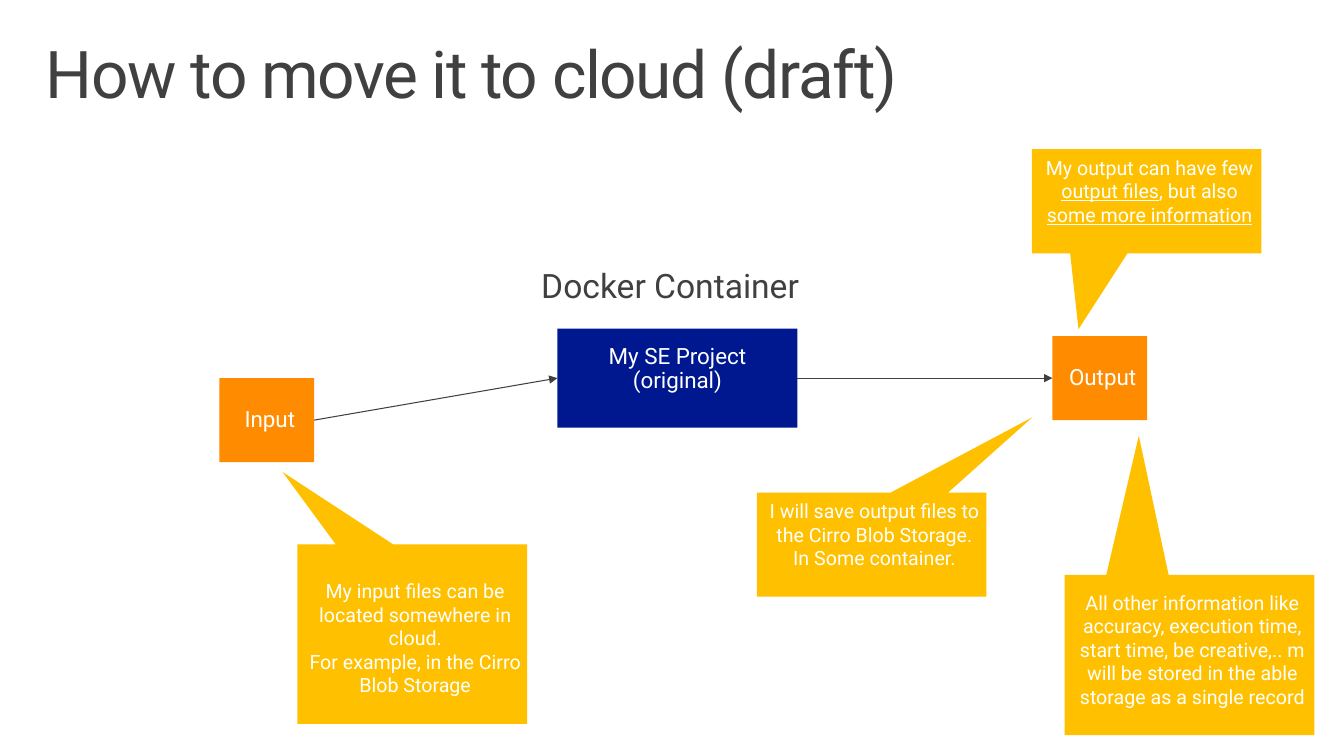
from pptx import Presentation
from pptx.dml.color import RGBColor
from pptx.enum import shapes, text
from pptx.oxml import parse_xml
from pptx.oxml.ns import nsdecls, qn
from pptx.util import Pt

COLORS = {"ink": "404040", "navy": "00188F", "orange": "FF8C00",
          "amber": "FFC000", "white": "FFFFFF"}
FONT = "Roboto"
MID_LEFT, MID_RIGHT = 1, 3

# box (left, top, width, height), pointer (x, y), paragraphs of (words, underlined)
# runs, bottom inset
CALLOUTS = [
    ((212.5, 388.8, 164, 128.2), (-0.565, -0.903),
     [[("My input files can be located somewhere in cloud.", False)],
      [("For example, in the Cirro Blob Storage", False)]]),
    ((737.1, 106.5, 164, 74.4), (-0.297, 1.229),
     [[("My output can have few ", False), ("output files", True),
       (", but also ", False), ("some more information", True)]]),
    ((540.6, 351.8, 164, 74.4), (0.7, -1.222),
     [[("I will save output files to the Cirro Blob Storage. "
        "In Some container.", False)]]),
    ((760.5, 410.7, 178.3, 114.4), (-0.203, -1.369),
     [[("All other information like accuracy, execution time, start time, "
        "be creative,.. m will be stored in the able storage as a single record",
        False)]]),
]


def rgb(name):
    return RGBColor.from_string(COLORS[name])


def set_frame(tf, insets, anchor=text.MSO_ANCHOR.TOP, wrap=True):
    tf.margin_left, tf.margin_top, tf.margin_right, tf.margin_bottom = map(Pt, insets)
    tf.vertical_anchor = anchor
    tf.word_wrap = wrap


def write(tf, paragraphs, size, color, align, spacing=1.0):
    for i, runs in enumerate(paragraphs):
        p = tf.paragraphs[0] if i == 0 else tf.add_paragraph()
        p.alignment = align
        p.line_spacing = spacing
        p.font.size, p.font.name = Pt(size), FONT
        p.font.color.rgb = rgb(color)
        for words, underlined in runs:
            r = p.add_run()
            r.text = words
            if underlined:
                r.font.underline = True


def add_block(slide, kind, box, fill):
    sp = slide.shapes.add_shape(kind, *map(Pt, box))
    sp.shadow.inherit = False
    sp.fill.solid()
    sp.fill.fore_color.rgb = rgb(fill)
    sp.line.fill.background()
    return sp


def add_title(slide, box):
    sp = slide.shapes.title
    sp.left, sp.top, sp.width, sp.height = map(Pt, box)
    tf = sp.text_frame
    set_frame(tf, (11.5, 7.2, 11.5, 7.2))
    tf.auto_size = text.MSO_AUTO_SIZE.NONE
    write(tf, [[("How to move it to cloud (draft)", False)]], 47, "ink",
          text.PP_ALIGN.LEFT, 0.9)
    tf.paragraphs[0].runs[0]._r.get_or_add_rPr().set("spc", "-100")


def add_endpoint(slide, box, label):
    """Place an input or output square, its label raised one line off the bottom."""
    sp = add_block(slide, shapes.MSO_SHAPE.RECTANGLE, box, "orange")
    set_frame(sp.text_frame, (7.2, 7.2, 2.9, 21.6), text.MSO_ANCHOR.BOTTOM)
    write(sp.text_frame, [[(label, False)]], 16, "white", text.PP_ALIGN.CENTER)
    return sp


def add_container(slide, box):
    """Place the project box with its heading above."""
    left, top, _, _ = box
    sp = add_block(slide, shapes.MSO_SHAPE.RECTANGLE, box, "navy")
    set_frame(sp.text_frame, (14.4, 11.5, 14.4, 11.5))
    write(sp.text_frame, [[("My SE Project", False)], [("(original)", False)]],
          16, "white", text.PP_ALIGN.CENTER, 0.9)
    heading = slide.shapes.add_textbox(Pt(left - 26), Pt(top - 54), Pt(215), Pt(50))
    set_frame(heading.text_frame, (14.4, 11.5, 14.4, 11.5), wrap=False)
    write(heading.text_frame, [[("Docker Container", False)]], 24, "ink",
          text.PP_ALIGN.LEFT, 0.9)
    return sp


def add_arrow(slide, source, target):
    cx = slide.shapes.add_connector(shapes.MSO_CONNECTOR.STRAIGHT, 0, 0, 0, 0)
    cx.begin_connect(source, MID_RIGHT)
    cx.end_connect(target, MID_LEFT)
    cx.line.color.rgb = rgb("ink")
    cx.line.width = Pt(0.75)
    props = cx._element.spPr
    props.find(qn("a:ln")).append(
        parse_xml(f'<a:tailEnd {nsdecls("a")} type="triangle"/>'))
    props.append(parse_xml(f'<a:effectLst {nsdecls("a")}/>'))


def add_callout(slide, box, pointer, paragraphs):
    sp = add_block(slide, shapes.MSO_SHAPE.RECTANGULAR_CALLOUT, box, "amber")
    sp.adjustments[0], sp.adjustments[1] = pointer
    set_frame(sp.text_frame, (7.2, 7.2, 2.9, 19.3), text.MSO_ANCHOR.BOTTOM)
    write(sp.text_frame, paragraphs, 14, "white", text.PP_ALIGN.CENTER)


def add_flow(slide, box):
    """Place input, project and output from left to right, joined by arrows."""
    left, top, width, height = box
    side_w, side_h = 67.7, 60
    middle = top + height / 2
    project = add_container(slide, (left + 241.4, top, 171.4, height))
    source = add_endpoint(slide, (left, middle, side_w, side_h), "Input")
    output = add_endpoint(
        slide, (left + width - side_w, middle - side_h / 2, side_w, side_h), "Output")
    add_arrow(slide, source, project)
    add_arrow(slide, project, output)


def main():
    prs = Presentation()
    prs.slide_width, prs.slide_height = Pt(960), Pt(540)
    slide = prs.slides.add_slide(prs.slide_layouts[5])
    add_title(slide, (21.2, 22.8, 918, 70.8))
    add_flow(slide, (156.8, 234.8, 662.6, 70.6))
    for box, pointer, paragraphs in CALLOUTS:
        add_callout(slide, box, pointer, paragraphs)
    prs.save("out.pptx")


if __name__ == "__main__":
    main()
